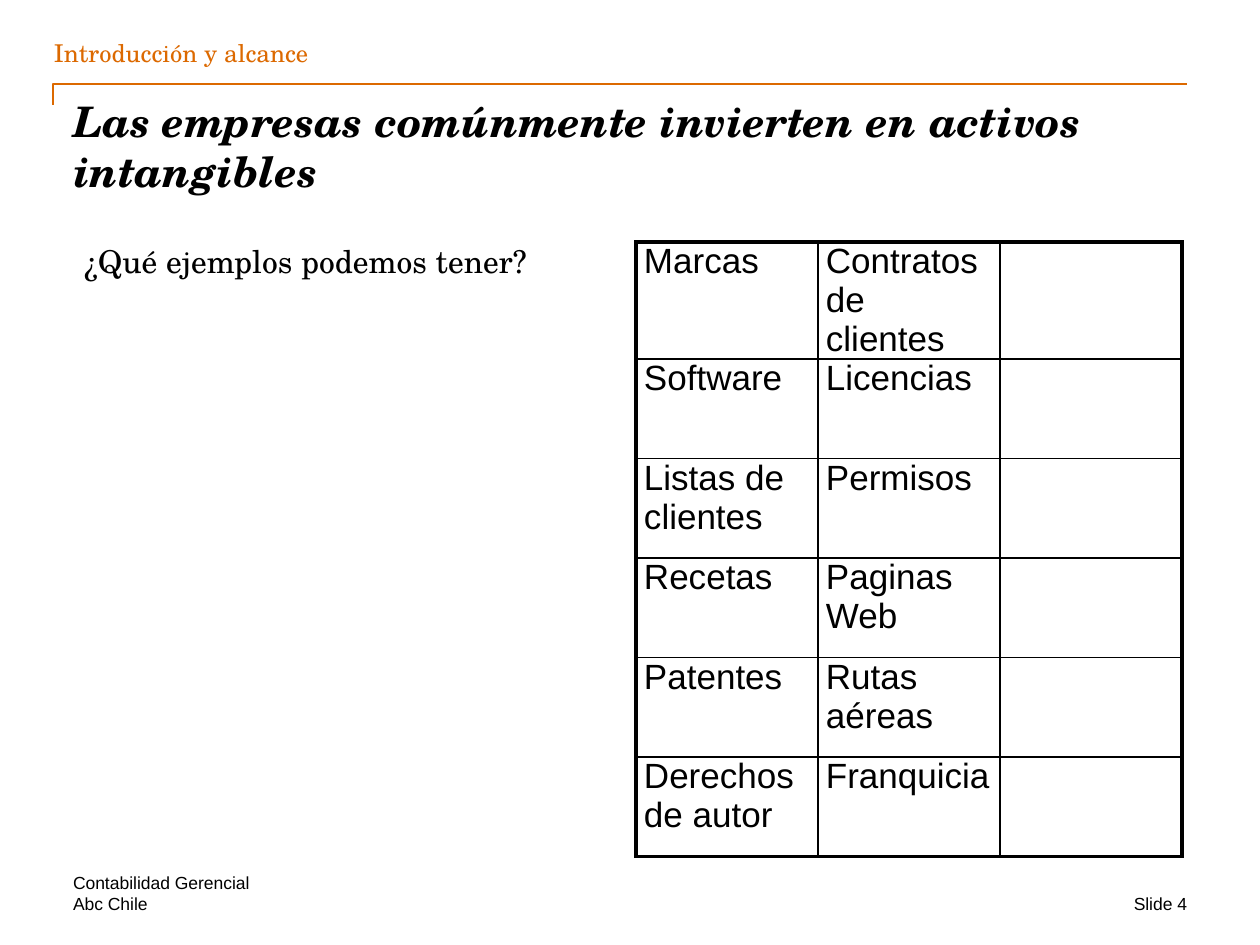
from lxml.etree import SubElement
from pptx import Presentation
from pptx.dml.color import RGBColor
from pptx.enum.shapes import MSO_CONNECTOR as Link
from pptx.enum.text import MSO_ANCHOR as Anchor, MSO_AUTO_SIZE as Auto, PP_ALIGN as Align
from pptx.oxml.ns import qn
from pptx.util import Emu, Pt

SCALE = 914400 / 126
BLACK, ORANGE = "000000", "DC6900"
SERIF, SANS = "TeX Gyre Schola", "Arial"
THIN, THICK = 1, 2.25

TITLE = "Las empresas comúnmente invierten en activos intangibles"
QUESTION = "¿Qué ejemplos podemos tener?"
ASSETS = [
    ("Marcas", "Contratos de clientes", ""),
    ("Software", "Licencias", ""),
    ("Listas de clientes", "Permisos", ""),
    ("Recetas", "Paginas Web", ""),
    ("Patentes", "Rutas aéreas", ""),
    ("Derechos de autor", "Franquicia", ""),
]
GRID = (636, 242, 546, 597)
SMALL = dict(name=SANS, size=10)
# text, box in px, font, frame format, alignment
LABELS = [
    ("Introducción y alcance", (54, 39, 694, 28), dict(name=SERIF, size=14, color=ORANGE),
     dict(vertical_anchor=Anchor.BOTTOM, word_wrap=False), Align.LEFT),
    ("Contabilidad Gerencial", (73, 872, 725, 21), SMALL,
     dict(vertical_anchor=Anchor.BOTTOM), Align.LEFT),
    ("Abc Chile", (73, 893, 357, 21), SMALL, {}, Align.LEFT),
    ("Slide 4", (977, 893, 210, 21), SMALL, {}, Align.RIGHT),
]


def px(n):
    return Emu(round(n * SCALE))


def rgb(code):
    return RGBColor.from_string(code)


def place(shape, box):
    for key, val in zip(("left", "top", "width", "height"), box):
        setattr(shape, key, px(val))


def write(frame, text, font, margin=0, align=Align.LEFT, **form):
    form = dict(word_wrap=True, vertical_anchor=Anchor.TOP, margin_left=px(margin),
                margin_right=px(margin), margin_top=0, margin_bottom=0) | form
    for key, val in form.items():
        setattr(frame, key, val)
    para = getattr(frame, "text_frame", frame).paragraphs[0]
    para.alignment = align
    run = para.add_run()
    run.text = text
    font = dict(font)
    run.font.color.rgb = rgb(font.pop("color", BLACK))
    run.font.size = Pt(font.pop("size"))
    for key, val in font.items():
        setattr(run.font, key, val)
    return para


def border(cell, widths):
    props = cell._tc.get_or_add_tcPr()
    for side, width in zip("LRTB", widths):
        line = SubElement(props, qn(f"a:ln{side}"), w=str(Pt(width)))
        fill = SubElement(line, qn("a:solidFill"))
        SubElement(fill, qn("a:srgbClr"), val=BLACK)
    cell.fill.background()


def add_rule(slide):
    """Draw the long orange line with its short hook on the left."""
    left, top, width, drop = 53, 84, 1134, 21
    midx, midy = left + width / 2, top + drop / 2
    rule = slide.shapes.add_connector(
        Link.ELBOW, px(midx + drop / 2), px(midy + width / 2),
        px(midx - drop / 2), px(midy - width / 2))
    rule.line.color.rgb = rgb(ORANGE)
    rule.line.width = Pt(1)
    props = rule._element.spPr
    props.find(qn("a:xfrm")).set("rot", str(90 * 60000))
    props.find(qn("a:prstGeom")).set("prst", "bentConnector2")
    SubElement(props, qn("a:effectLst"))


def add_grid(slide):
    rows, cols = len(ASSETS), len(ASSETS[0])
    table = slide.shapes.add_table(rows, cols, *map(px, GRID)).table
    table.first_row = table.horz_banding = False
    for r, names in enumerate(ASSETS):
        table.rows[r].height = px(GRID[3] / rows)
        for c, name in enumerate(names):
            table.columns[c].width = px(GRID[2] / cols)
            cell = table.cell(r, c)
            edges = (c == 0, c == cols - 1, r == 0, r == rows - 1)
            border(cell, [THICK if edge else THIN for edge in edges])
            if name:
                write(cell, name, dict(name=SANS, size=20), margin=8)


def main():
    deck = Presentation()
    deck.slide_width, deck.slide_height = px(1260), px(945)
    slide = deck.slides.add_slide(deck.slide_layouts[1])
    title, body = slide.placeholders
    add_rule(slide)

    place(title, (73, 95, 1113, 126))
    write(title.text_frame, TITLE, dict(name=SERIF, size=24, bold=True, italic=True),
          auto_size=Auto.NONE)

    add_grid(slide)

    place(body, (84, 242, 546, 609))
    para = write(body.text_frame, QUESTION, dict(name=SERIF, size=18), auto_size=Auto.NONE)
    para.space_before, para.space_after = Pt(0), Pt(9)
    props = para._p.get_or_add_pPr()
    props.set("marL", "0")
    props.set("indent", "0")
    SubElement(props, qn("a:buNone"))

    for text, box, font, form, align in LABELS:
        label = slide.shapes.add_textbox(*map(px, box))
        write(label.text_frame, text, font, align=align, **form)

    deck.save("out.pptx")


if __name__ == "__main__":
    main()
